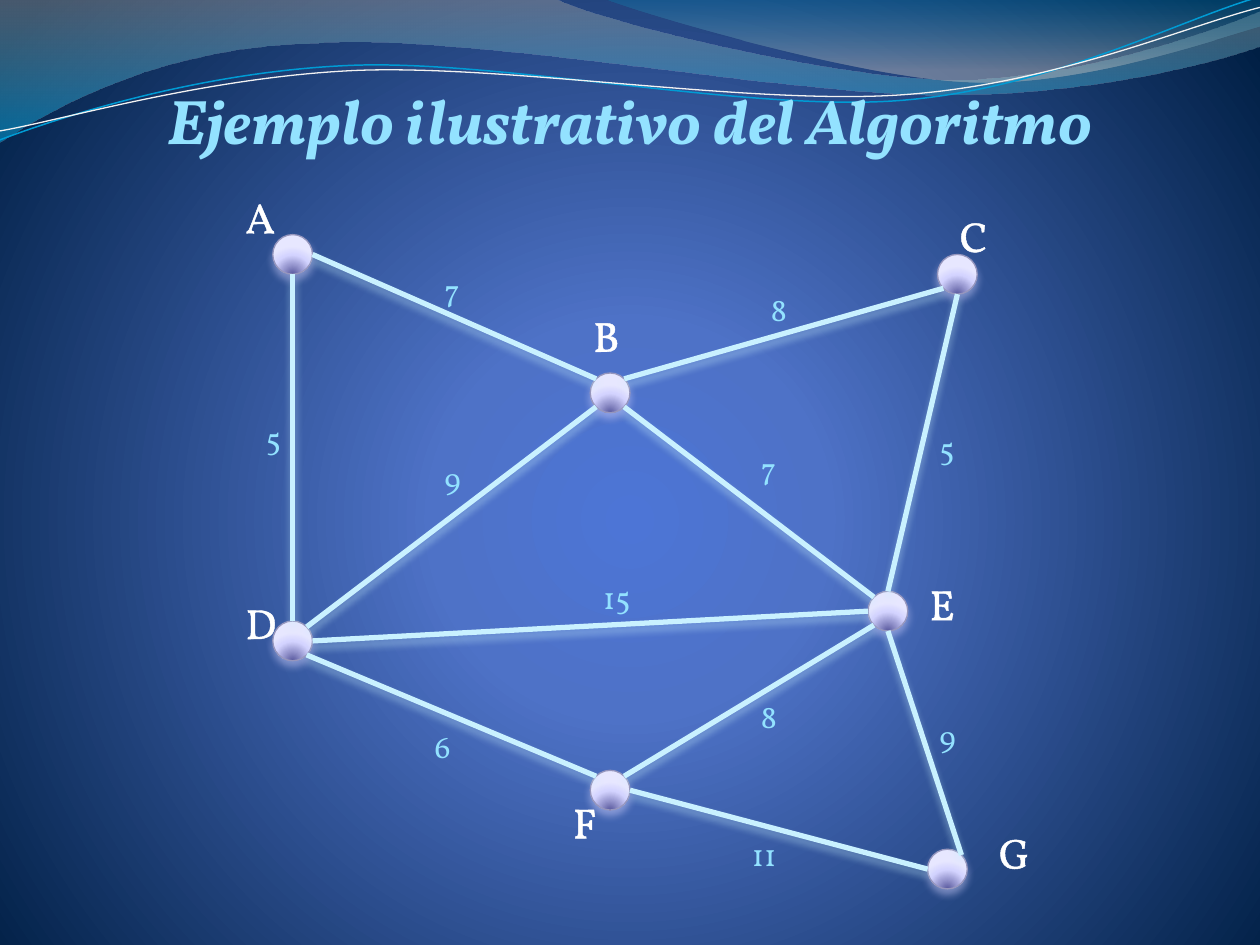
from math import cos, radians, sin

from lxml import etree
from pptx import Presentation
from pptx.dml.color import RGBColor
from pptx.enum.shapes import MSO_CONNECTOR, MSO_SHAPE
from pptx.enum.text import MSO_AUTO_SIZE, PP_ALIGN
from pptx.oxml.ns import qn
from pptx.util import Cm, Pt

STRAIGHT = MSO_CONNECTOR.STRAIGHT
CIRCLE = MSO_SHAPE.FLOWCHART_CONNECTOR
GROW = MSO_AUTO_SIZE.SHAPE_TO_FIT_TEXT
CENTER = PP_ALIGN.CENTER
FONT = "Vollkorn"
COLORS = {
    "bg_center": "4D75D6", "bg_mid": "4E72C7", "bg_edge": "001F44",
    "gray": "A0A0A0", "cyan": "00A0DA", "teal": "0082B2", "silver": "BFBFBF",
    "wave_cyan": "009BD4", "wave_white": "F2F2F2",
    "node_dark": "5B5BA0", "node_mid": "D3D3FF", "node_light": "E7E7FF",
    "node_line": "9696BD", "edge": "C9F1FF", "accent": "93E2FF", "white": "FFFFFF",
}
DIAMETER = 0.8

# Each path: start point, then segments of one point (line) or three (Bézier curve).
BANDS = [
    ((0, 0),
     [[(11.18, -0.03)],
      [(12.09, 0.43), (16.87, 1.6), (19.25, 1.6)],
      [(21.67, 1.6), (24.33, 0.66), (25.4, 0.23)],
      [(25.43, 0.91)],
      [(24.97, 1.12), (22.1, 1.93), (18.95, 1.91)],
      [(15.8, 1.91), (9.7, 0.71), (6.53, 0.86)],
      [(3.28, 0.91), (1.17, 2.11), (-0.03, 2.87)]],
     [(0, "gray", 45), (100, "cyan", 55)]),
    ((12.17, -0.03),
     [[(12.93, 0.28), (17.32, 1.57), (19.53, 1.65)],
      [(21.74, 1.75), (24.41, 0.81), (25.4, 0.53)],
      [(25.4, 0)]],
     [(0, "teal", 30), (80, "silver", 45)]),
]
WAVES = [
    ((0, 2.82),
     [[(1.22, 2.36), (4.01, 1.45), (7.04, 1.32)],
      [(10.03, 1.19), (15.06, 2.26), (18.11, 2.03)],
      [(21.16, 1.8), (23.83, 0.38), (25.35, -0.05)]],
     "wave_cyan", 0.85),
    ((0, 2.64),
     [[(1.19, 2.44), (4.17, 1.55), (7.19, 1.42)],
      [(10.24, 1.3), (15.16, 2.13), (18.21, 1.91)],
      [(21.23, 1.7), (23.9, 0.53), (25.4, 0.15)]],
     "wave_white", 0.75),
]
# Name: centre, label corner
NODES = {
    "A": ((5.9, 5.13), (4.7, 3.73)),
    "B": ((12.3, 7.92), (11.71, 6.12)),
    "C": ((19.3, 5.53), (19.1, 4.11)),
    "D": ((5.9, 12.92), (4.7, 11.91)),
    "E": ((17.9, 12.32), (18.49, 11.53)),
    "F": ((12.3, 15.93), (11.3, 15.93)),
    "G": ((19.1, 17.52), (19.89, 16.54)),
}
# From, site, to, site, weight, weight corner; sites run anticlockwise from the top
EDGES = [
    ("A", 6, "B", 1, "7", (8.71, 5.33)),
    ("A", 4, "D", 0, "5", (5.11, 8.33)),
    ("B", 7, "C", 3, "8", (15.29, 5.72)),
    ("D", 5, "F", 1, "6", (8.51, 14.53)),
    ("F", 6, "G", 2, "11", (14.91, 16.71)),
    ("C", 4, "E", 0, "5", (18.69, 8.53)),
    ("E", 4, "G", 7, "9", (18.69, 14.33)),
    ("D", 6, "E", 2, "15", (11.91, 11.53)),
    ("F", 7, "E", 3, "8", (15.09, 13.92)),
    ("D", 7, "B", 3, "9", (8.71, 9.12)),
    ("B", 5, "E", 1, "7", (15.09, 8.92)),
]


def rgb(name):
    return RGBColor.from_string(COLORS[name])


def add_xml(parent, tag, **attrs):
    return etree.SubElement(parent, qn(tag), {k: str(v) for k, v in attrs.items()})


def add_color(parent, name, alpha=100):
    clr = add_xml(parent, "a:srgbClr", val=COLORS[name])
    if alpha < 100:
        add_xml(clr, "a:alpha", val=alpha * 1000)


def set_gradient(fill, props, stops, center=None):
    """Fill with a circular gradient towards center (l, t, r, b), or a vertical one."""
    fill.solid()
    grad = etree.Element(qn("a:gradFill"), rotWithShape="1")
    gs_list = add_xml(grad, "a:gsLst")
    for pos, name, alpha in stops:
        add_color(add_xml(gs_list, "a:gs", pos=pos * 1000), name, alpha)
    if center:
        way = add_xml(grad, "a:path", path="circle")
        add_xml(way, "a:fillToRect", **{k: v * 1000 for k, v in zip("ltrb", center)})
    else:
        add_xml(grad, "a:lin", ang=90 * 60000, scaled=0)
    props.replace(props.find(qn("a:solidFill")), grad)


def add_shadow(sp, color):
    effects = add_xml(sp.element.spPr, "a:effectLst")
    shadow = add_xml(effects, "a:outerShdw", blurRad=Pt(4.5), dist=Pt(3),
                     dir=90 * 60000, rotWithShape=0)
    add_color(shadow, color, 48)


def add_text(slide, text, left, top, width, height, size=18, color="accent",
             bold=False, italic=False, align=None, outline=None):
    sp = slide.shapes.add_textbox(Cm(left), Cm(top), Cm(width), Cm(height))
    tf = sp.text_frame
    tf.word_wrap = True
    tf.auto_size = GROW
    p = tf.paragraphs[0]
    p.alignment = align
    r = p.add_run()
    r.text = text
    r.font.name, r.font.size = FONT, Pt(size)
    r.font.bold, r.font.italic = bold, italic
    r.font.color.rgb = rgb(color)
    if outline:
        ln = etree.Element(qn("a:ln"), w=str(Pt(outline)))
        add_color(add_xml(ln, "a:solidFill"), color)
        sp.element.find(".//" + qn("a:rPr")).insert(0, ln)


def add_curve(slide, start, segments, close):
    """Draw the points as lines, then merge each curve's three lines into one Bézier."""
    points = [(Cm(x), Cm(y)) for seg in segments for x, y in seg]
    builder = slide.shapes.build_freeform(Cm(start[0]), Cm(start[1]))
    builder.add_line_segments(points, close=close)
    sp = builder.convert_to_shape()
    sp.shadow.inherit = False
    lines = iter(sp.element.findall(".//" + qn("a:lnTo")))
    for seg in segments:
        first, *rest = [next(lines) for _ in seg]
        if rest:
            curve = etree.Element(qn("a:cubicBezTo"))
            first.addprevious(curve)
            for line in (first, *rest):
                curve.append(line[0])
                line.getparent().remove(line)
    return sp


def add_band(slide, start, segments, stops):
    sp = add_curve(slide, start, segments, True)
    set_gradient(sp.fill, sp.element.spPr, stops)
    sp.line.fill.background()


def add_wave(slide, start, segments, color, width):
    sp = add_curve(slide, start, segments, False)
    sp.fill.background()
    sp.line.color.rgb, sp.line.width = rgb(color), Pt(width)


def add_node(slide, center):
    x, y = (Cm(v - DIAMETER / 2) for v in center)
    sp = slide.shapes.add_shape(CIRCLE, x, y, Cm(DIAMETER), Cm(DIAMETER))
    stops = [(0, "node_dark", 100), (68, "node_mid", 100), (100, "node_light", 100)]
    set_gradient(sp.fill, sp.element.spPr, stops, (50, 130, 50, -30))
    sp.line.color.rgb, sp.line.width = rgb("node_line"), Pt(0.75)
    add_shadow(sp, "node_mid")
    return sp


def site_point(name, site):
    (x, y), angle = NODES[name][0], radians(45 * site)
    return Cm(x - DIAMETER / 2 * sin(angle)), Cm(y - DIAMETER / 2 * cos(angle))


def add_edge(slide, circles, a, site_a, b, site_b):
    """Join two circles; their eight sites are beyond begin_connect's four."""
    line = slide.shapes.add_connector(STRAIGHT, *site_point(a, site_a),
                                      *site_point(b, site_b))
    line.line.color.rgb, line.line.width = rgb("edge"), Pt(3)
    add_shadow(line, "edge")
    joints = line.element.nvCxnSpPr.cNvCxnSpPr
    add_xml(joints, "a:stCxn", id=circles[a].shape_id, idx=site_a)
    add_xml(joints, "a:endCxn", id=circles[b].shape_id, idx=site_b)


def main():
    prs = Presentation()
    prs.slide_width, prs.slide_height = Cm(25.4), Cm(19.05)
    slide = prs.slides.add_slide(prs.slide_layouts[6])
    fill = slide.background.fill
    fill.solid()
    set_gradient(fill, slide.element.find(".//" + qn("p:bgPr")),
                 [(0, "bg_center", 100), (25, "bg_mid", 100), (100, "bg_edge", 100)],
                 (10, 110, 10, 100))
    for band in BANDS:
        add_band(slide, *band)
    for wave in WAVES:
        add_wave(slide, *wave)
    add_text(slide, "Ejemplo ilustrativo del Algoritmo", 2.7, 1.52, 20, 3.33,
             size=36, bold=True, italic=True, align=CENTER)
    circles = {name: add_node(slide, center) for name, (center, _) in NODES.items()}
    for *ends, _, _ in EDGES:
        add_edge(slide, circles, *ends)
    for *_, weight, corner in EDGES:
        add_text(slide, weight, *corner, 0.4 + 0.4 * len(weight), 1.02)
    for name, (_, corner) in NODES.items():
        add_text(slide, name, *corner, 0.8, 1.27, size=24, color="white", outline=1.45)
    prs.save("out.pptx")


if __name__ == "__main__":
    main()
